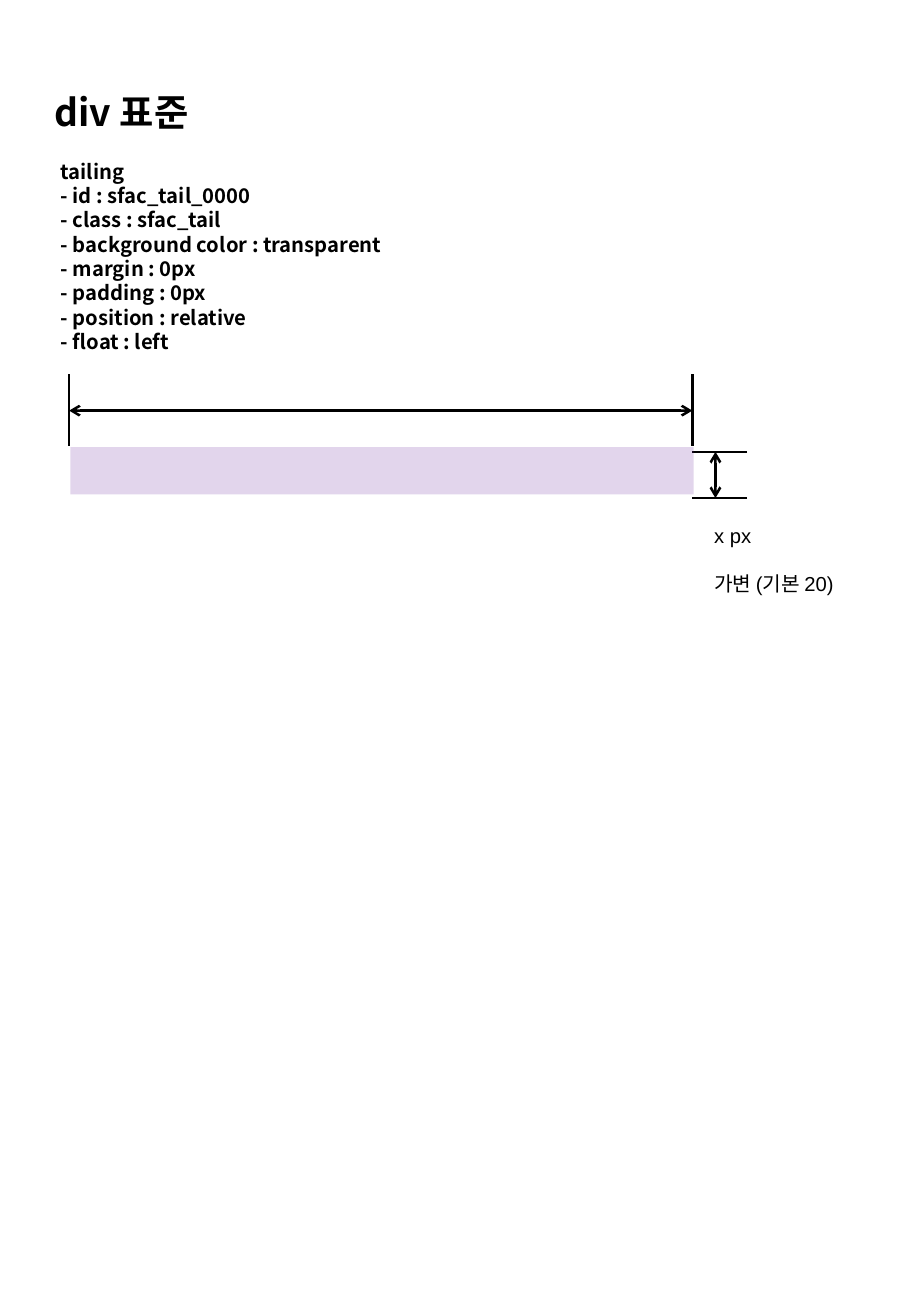
from lxml import etree
from pptx import Presentation
from pptx.dml import color
from pptx.enum import shapes, text
from pptx.oxml import ns
from pptx.util import Pt

COLORS = {"ink": "000000", "tail": "7030A0"}
HEADING_FONT, LABEL_FONT = "Noto Sans CJK KR", "Arial"
LINE_WIDTH = 1.5


def format_text(shape, font_name, size, bold):
    """Align the text of a shape left and set the font of its runs."""
    frame = shape.text_frame
    frame.word_wrap = True
    frame.auto_size = text.MSO_AUTO_SIZE.NONE
    for paragraph in frame.paragraphs:
        paragraph.alignment = text.PP_ALIGN.LEFT
        paragraph.space_before = Pt(0)
        for run in paragraph.runs:
            run.font.name = font_name
            run.font.size = Pt(size)
            run.font.bold = bold
            run.font.color.rgb = color.RGBColor.from_string(COLORS["ink"])
            if font_name == HEADING_FONT:
                east_asian = etree.SubElement(run.font._element, ns.qn("a:ea"))
                east_asian.set("typeface", font_name)


def add_line(slide, start, end, arrows=False):
    """Draw a straight line, with open arrowheads at both ends if asked."""
    line = slide.shapes.add_connector(
        shapes.MSO_CONNECTOR.STRAIGHT, *map(Pt, start + end))
    line.line.color.rgb = color.RGBColor.from_string(COLORS["ink"])
    line.line.width = Pt(LINE_WIDTH)
    if arrows:
        for tag in ("a:headEnd", "a:tailEnd"):
            etree.SubElement(line.line._ln, ns.qn(tag)).set("type", "arrow")
    etree.SubElement(line._element.spPr, ns.qn("a:effectLst"))


presentation = Presentation()
presentation.slide_width, presentation.slide_height = Pt(540), Pt(780)
slide = presentation.slides.add_slide(presentation.slide_layouts[1])

# Title
title = slide.shapes.title
title.left, title.top, title.width, title.height = map(Pt, (25.2, 49, 484.6, 34.6))
title.text_frame.text = "div 표준"
title.text_frame.vertical_anchor = text.MSO_ANCHOR.MIDDLE
format_text(title, HEADING_FONT, 22.1, True)

# Properties of the tailing div
properties = slide.placeholders[1]
properties.left, properties.top, properties.width, properties.height = map(
    Pt, (28.8, 90.7, 485.3, 123.8))
properties.text_frame.text = "\n".join([
    "tailing",
    "- id : sfac_tail_0000",
    "- class : sfac_tail",
    "- background color : transparent",
    "- margin : 0px",
    "- padding : 0px",
    "- position : relative",
    "- float : left",
])
format_text(properties, HEADING_FONT, 12, True)
for paragraph in properties.text_frame.paragraphs:
    paragraph.line_spacing = Pt(14.4)
    paragraph_format = paragraph._p.get_or_add_pPr()
    paragraph_format.set("marL", "0")
    paragraph_format.set("indent", "0")
    etree.SubElement(paragraph_format, ns.qn("a:buNone"))

# Height dimension
height_top, height_bottom, height_x = 267.8, 295.2, 424.1
for y in (height_top, height_bottom):
    add_line(slide, (442.8, y), (410.4, y))
add_line(slide, (height_x, height_bottom), (height_x, height_top), arrows=True)

height_label = slide.shapes.add_textbox(*map(Pt, (416.2, 306.7, 90, 58)))
height_label.text_frame.text = "x px\n가변 (기본 20)"
format_text(height_label, LABEL_FONT, 12, False)
height_label.text_frame.paragraphs[1].space_before = Pt(14)

# Tailing bar
bar = slide.shapes.add_shape(
    shapes.MSO_SHAPE.RECTANGLE, *map(Pt, (41.8, 265, 369.4, 28)))
bar.shadow.inherit = False
bar.line.fill.background()
bar.fill.solid()
bar.fill.fore_color.rgb = color.RGBColor.from_string(COLORS["tail"])
bar_color = bar._element.spPr.find(".//" + ns.qn("a:srgbClr"))
etree.SubElement(bar_color, ns.qn("a:alpha")).set("val", "20000")

# Width dimension
width_left, width_right, width_y = 41, 410.4, 243.4
for x in (width_left, width_right):
    add_line(slide, (x, 221.8), (x, 264.2))
add_line(slide, (width_left, width_y), (width_right, width_y), arrows=True)

presentation.save("out.pptx")
